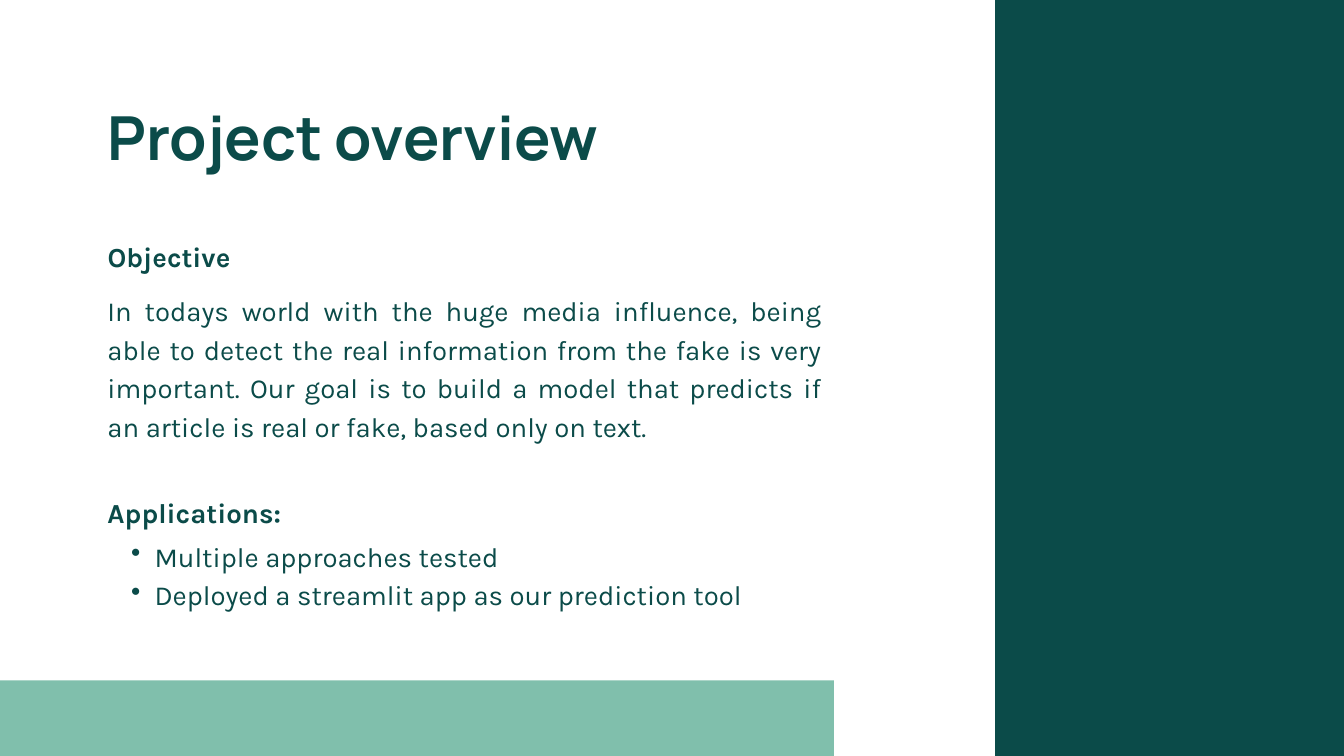
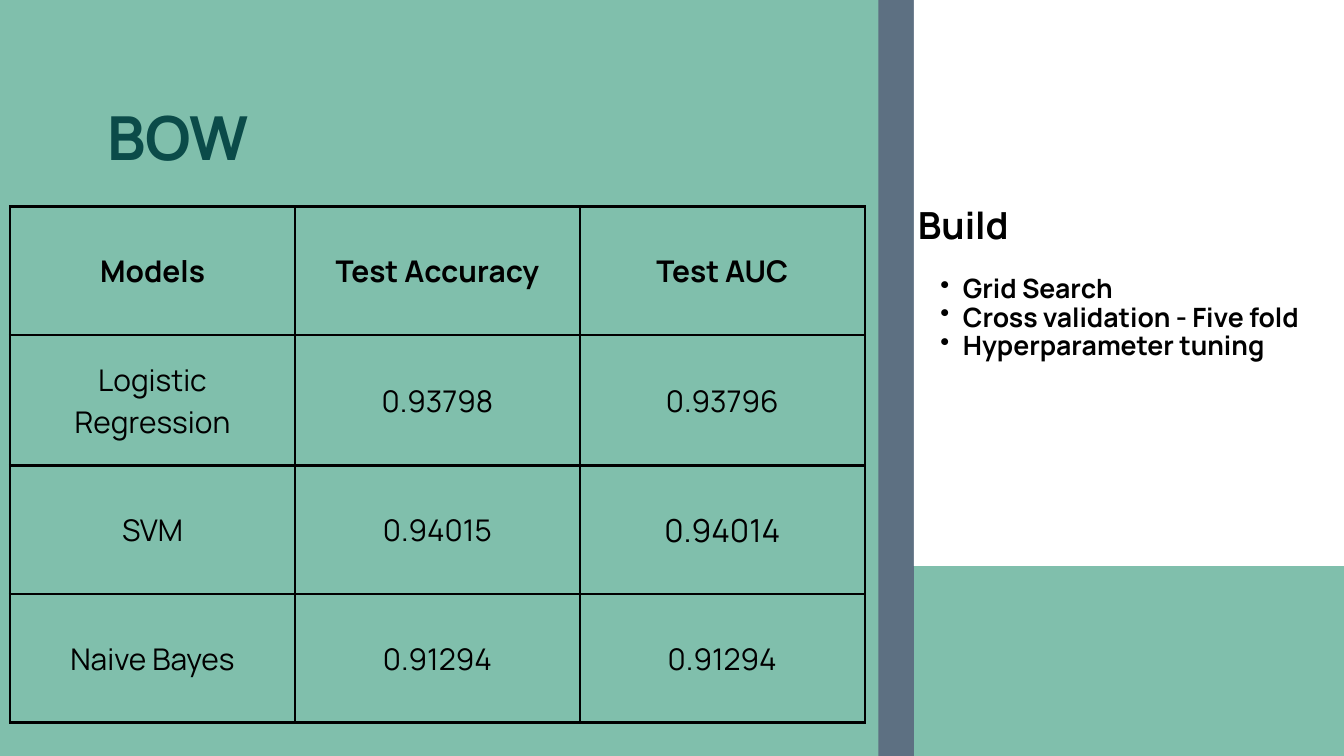
from lxml import etree
from pptx import Presentation
from pptx import util as u
from pptx.dml.color import RGBColor
from pptx.enum import shapes, text
from pptx.oxml.ns import qn

C = {"dark": "0B4B49", "mint": "80BFAC", "slate": "5D7082",
     "white": "FFFFFF", "black": "000000"}
AL = text.PP_ALIGN
MID = text.MSO_ANCHOR.MIDDLE

prs = Presentation()
prs.slide_width, prs.slide_height = u.Inches(20), u.Inches(11.25)
COL, ROW = prs.slide_width / 100, prs.slide_height / 100
LEFT = 8


def place(x, y, w, h):
    return int(x * COL), int(y * ROW), int(w * COL), int(h * ROW)


def write(p, words, color, font, spacing, align=None, bullet=None, before=None):
    p.line_spacing = u.Pt(spacing)
    p.alignment = align
    if before:
        p.space_before = u.Pt(before)
    if bullet:
        p.level = 1
        pPr = p._p.get_or_add_pPr()
        pPr.set("marL", str(u.Inches(bullet)))
        pPr.set("indent", str(-u.Inches(bullet / 2)))
        etree.SubElement(pPr, qn("a:buChar"), char="•")
    r = p.add_run()
    r.text = words
    for key, value in font.items():
        setattr(r.font, key, value)
    r.font.color.rgb = RGBColor.from_string(C[color])


TITLE = {"name": "Manrope", "size": u.Pt(65), "bold": True}
BODY = {"name": "Karla", "size": u.Pt(29.5), "bold": False}
HEAD = BODY | {"bold": True}
BUILD = {"name": "Manrope", "size": u.Pt(40), "bold": True}
STEP = BUILD | {"size": u.Pt(28.5)}

just = {"color": "dark", "spacing": 41.3, "align": AL.JUSTIFY}
title = {"color": "dark", "font": TITLE, "spacing": 81.2}
step = {"color": "black", "font": STEP, "spacing": 30.5, "bullet": 0.67}
fit = {"word_wrap": True, "auto_size": text.MSO_AUTO_SIZE.SHAPE_TO_FIT_TEXT,
       "margin_left": 0, "margin_right": 0, "margin_top": 0, "margin_bottom": 0}
pad = u.Inches(0.06)
centred = {"word_wrap": True, "vertical_anchor": MID, "margin_left": pad,
           "margin_right": pad, "margin_top": pad, "margin_bottom": pad}

slides = [
    {"back": "white",
     "bands": [("dark", 74.05, 0, 25.95, 100), ("mint", 0, 90, 62.05, 10)],
     "texts": [
         ((LEFT, 12.8, 51.8, 10.5), fit, [("Project overview", title)]),
         ((LEFT, 31, 13.55, 4.8), fit, [("Objective", just | {"font": HEAD})]),
         ((LEFT, 38.2, 53.15, 19.9), fit, [(
             "In todays world with the huge media influence, being able to detect "
             "the real information from the fake is very important. Our goal is to "
             "build a model that predicts if an article is real or fake, based only "
             "on text.", just | {"font": BODY})]),
         ((LEFT, 64.9, 16, 4.8), fit, [("Applications:", just | {"font": HEAD})]),
         ((LEFT, 70.65, 50.7, 9.9), fit, [
             (words, just | {"font": BODY, "bullet": 0.7}) for words in
             ("Multiple approaches tested",
              "Deployed a streamlit app as our prediction tool")])]},
    {"back": "mint",
     "bands": [("slate", 65.35, 0, 2.65, 100), ("white", 68, 0, 32, 74.85)],
     "texts": [
         ((68, 0.35, 32, 74.5), centred, [
             ("Build", {"color": "black", "font": BUILD, "spacing": 42.8}),
             ("Grid Search", step | {"before": 30.5}),
             ("Cross validation - Five fold", step),
             ("Hyperparameter tuning", step)]),
         ((LEFT, 12.8, 49.2, 10.5), fit, [("BOW", title)])]},
]

for page in slides:
    s = prs.slides.add_slide(prs.slide_layouts[6])
    s.background.fill.solid()
    s.background.fill.fore_color.rgb = RGBColor.from_string(C[page["back"]])
    for color, *box in page["bands"]:
        sp = s.shapes.add_shape(shapes.MSO_SHAPE.RECTANGLE, *place(*box))
        sp.shadow.inherit = False
        sp.fill.solid()
        sp.fill.fore_color.rgb = RGBColor.from_string(C[color])
        sp.line.fill.background()
    for box, frame, paragraphs in page["texts"]:
        tf = s.shapes.add_textbox(*place(*box)).text_frame
        for key, value in frame.items():
            setattr(tf, key, value)
        for i, (words, style) in enumerate(paragraphs):
            write(tf.add_paragraph() if i else tf.paragraphs[0], words, **style)

scores = [
    ("Models", "Test Accuracy", "Test AUC"),
    ("Logistic Regression", "0.93798", "0.93796"),
    ("SVM", "0.94015", "0.94014"),
    ("Naive Bayes", "0.91294", "0.91294"),
]
heights = [17, 17.3, 17, 17]
inset = u.Inches(0.21)
cell_format = {"vertical_anchor": MID, "margin_left": inset, "margin_right": inset,
               "margin_top": inset, "margin_bottom": inset}

table = s.shapes.add_table(4, 3, *place(0.75, 27.3, 63.6, sum(heights))).table
table.first_row = table.horz_banding = False
for col in table.columns:
    col.width = int(21.2 * COL)
for i, row in enumerate(scores):
    table.rows[i].height = int(heights[i] * ROW)
    for j, words in enumerate(row):
        cell = table.cell(i, j)
        for key, value in cell_format.items():
            setattr(cell, key, value)
        cell.fill.background()
        tcPr = cell._tc.get_or_add_tcPr()
        for k, side in enumerate(("lnL", "lnR", "lnT", "lnB")):
            ln = etree.Element(qn("a:" + side), w=str(u.Pt(3)))
            fill = etree.SubElement(ln, qn("a:solidFill"))
            etree.SubElement(fill, qn("a:srgbClr"), val=C["black"])
            tcPr.insert(k, ln)
        size = 34 if words == "0.94014" else 32
        font = {"name": "Manrope", "size": u.Pt(size), "bold": i == 0}
        write(cell.text_frame.paragraphs[0], words, "black", font,
              round(size * 1.4, 1), AL.CENTER)

prs.save("out.pptx")
